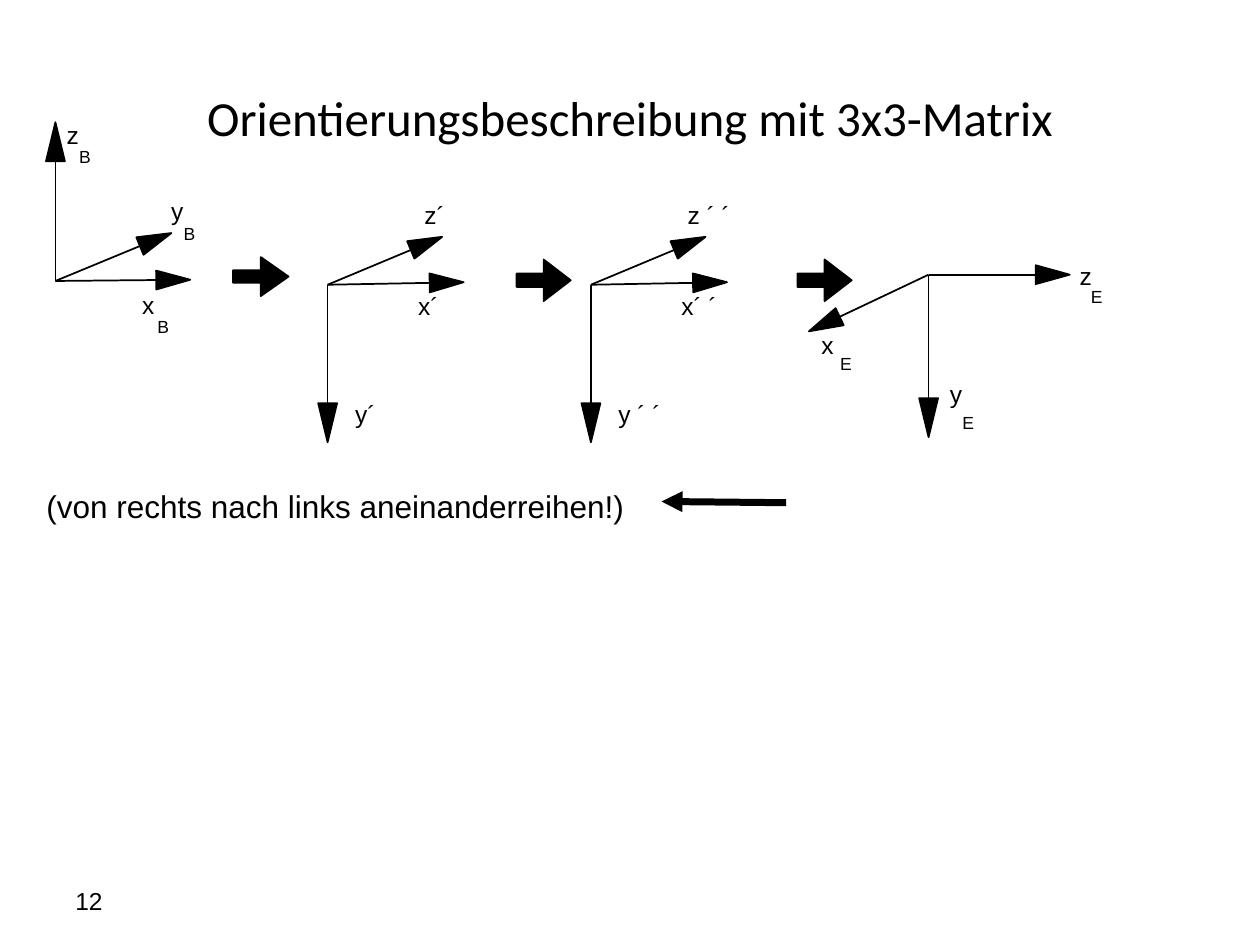
from math import hypot
from pptx import Presentation
from pptx.dml.color import RGBColor
from pptx.enum.shapes import MSO_CONNECTOR as Conn, MSO_SHAPE as Shape
from pptx.enum.text import MSO_ANCHOR as Anchor, PP_ALIGN as Align
from pptx.oxml import parse_xml
from pptx.oxml.ns import nsdecls
from pptx.util import Inches, Pt

BLACK = RGBColor(0, 0, 0)
CELL = Inches(0.1)


def grid(*nums):
    """Turn grid cells into slide lengths."""
    return [round(n * CELL) for n in nums]


def paint(shape):
    """Make a shape plain black with a thin outline."""
    shape.shadow.inherit = False
    shape.fill.solid()
    shape.fill.fore_color.rgb = BLACK
    shape.line.color.rgb = BLACK
    shape.line.width = Pt(1)


def write(slide, box, text, size, font="Arial", align=Align.LEFT,
          anchor=Anchor.TOP, wrap=True):
    """Put one line of text into a box."""
    frame = slide.shapes.add_textbox(*grid(*box)).text_frame
    frame.word_wrap = wrap
    frame.vertical_anchor = anchor
    para = frame.paragraphs[0]
    para.text = text
    para.alignment = align
    para.font.size = Pt(size)
    para.font.name = font
    para.font.color.rgb = BLACK


def rule(slide, start, end, width=1):
    """Draw a black line between two points."""
    line = slide.shapes.add_connector(Conn.STRAIGHT, *grid(*start, *end))
    line.line.color.rgb = BLACK
    line.line.width = Pt(width)
    line._element.spPr.append(parse_xml(f"<a:effectLst {nsdecls('a')}/>"))
    return line


def axis(slide, left, top, dx, dy):
    """Draw an axis with a slim solid head from an origin."""
    span = hypot(dx, dy)
    ux, uy = dx / span, dy / span
    head = 2.7 if dx else 3.1
    half = 0.75
    tip = left + dx, top + dy
    base = tip[0] - head * ux, tip[1] - head * uy
    rule(slide, (left, top), base)
    side = [(base[0] - s * half * uy, base[1] + s * half * ux) for s in (1, -1)]
    form = slide.shapes.build_freeform(*grid(*tip), scale=1.0)
    form.add_line_segments([grid(*spot) for spot in side], close=True)
    paint(form.convert_to_shape())


def triad(slide, left, top, axes):
    """Draw a coordinate frame with named axes and optional indices."""
    for tip, name, spot, sub, shift in axes:
        axis(slide, left, top, *tip)
        x, y = left + spot[0], top + spot[1]
        write(slide, (x, y, 2.4 + 0.6 * len(name), 3.3), name, 14, wrap=False)
        if sub:
            write(slide, (x + shift[0], y + shift[1], 3, 2.7), sub, 10, wrap=False)


def turned(mark):
    """List the axes of a turned frame, marked with strokes."""
    z, y, x = mark
    return [((9.1, -3.8), z, (6.7, -7.2), "", None),
            ((0, 12.5), y, (1.2, 8.6), "", None),
            ((10.8, -0.2), x, (6.2, 0), "", None)]


def step(slide, *box):
    """Draw a block arrow between two frames."""
    arrow = slide.shapes.add_shape(Shape.RIGHT_ARROW, *grid(*box))
    arrow.adjustments[0] = 0.32
    arrow.adjustments[1] = 0.5 * box[2] / box[3]
    paint(arrow)


def note(slide, left, top):
    """Write the reading hint with its arrow to the left."""
    write(slide, (left, top, 48.8, 4), "(von rechts nach links aneinanderreihen!)", 18)
    line = rule(slide, (left + 49.8, top + 1.6), (left + 59.7, top + 1.7), 4)
    line.line._get_or_add_ln().append(
        parse_xml(f'<a:headEnd {nsdecls("a")} type="triangle"/>'))


BASE = [((0, -12.6), "z", (-0.1, -13.3), "B", (1, 2.1)),
        ((9.2, -3.8), "y", (8.2, -7.2), "B", (1, 2.1)),
        ((10.7, -0.1), "x", (5.9, 0.2), "B", (1.2, 2.1))]
END = [((11.2, 0), "z", (11, -1.6), "E", (0.9, 2)),
       ((0, 12.9), "y", (0.7, 7.8), "E", (1, 2.6)),
       ((-9.5, 4.5), "x", (-9.5, 3.9), "E", (1.5, 1.8))]


def main():
    """Build the slide and save it."""
    deck = Presentation()
    deck.slide_width, deck.slide_height = grid(100, 75)
    slide = deck.slides.add_slide(deck.slide_layouts[6])
    write(slide, (5, 3, 90, 12.5), "Orientierungsbeschreibung mit 3x3-Matrix", 28,
          "Calibri", Align.CENTER, Anchor.MIDDLE)
    triad(slide, 4.4, 22.3, BASE)
    triad(slide, 26, 22.6, turned(["z´", "y´", "x´"]))
    triad(slide, 46.9, 22.6, turned(["z ´ ´", "y ´ ´", "x´ ´"]))
    triad(slide, 73.7, 21.8, END)
    step(slide, 18.5, 20.4, 4.4, 3.1)
    for left in (41, 63.3):
        step(slide, left, 20.6, 4.3, 3.3)
    note(slide, 2.7, 38.2)
    write(slide, (5, 69.5, 23.3, 4), "12", 14, anchor=Anchor.MIDDLE)
    deck.save("out.pptx")


if __name__ == "__main__":
    main()
